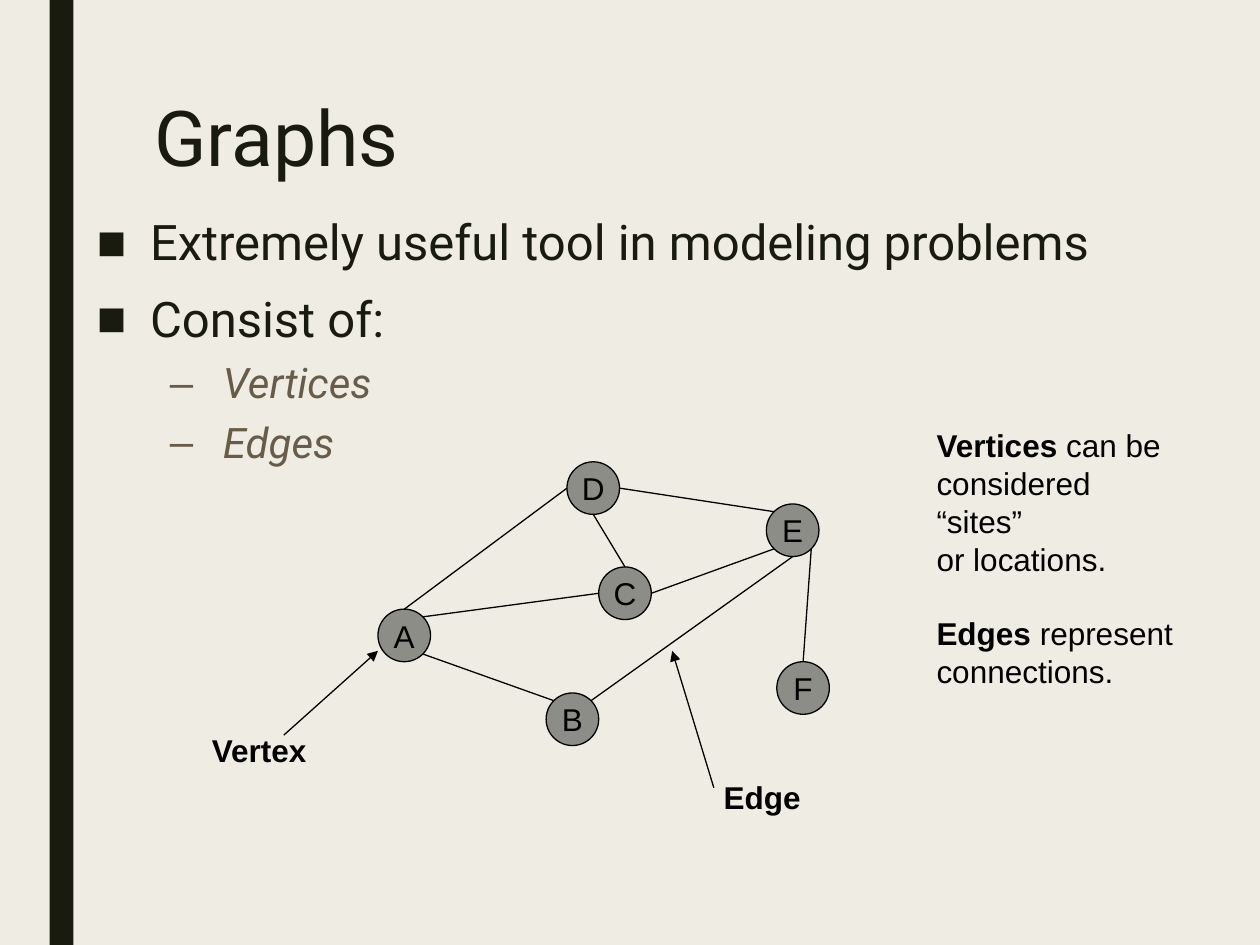
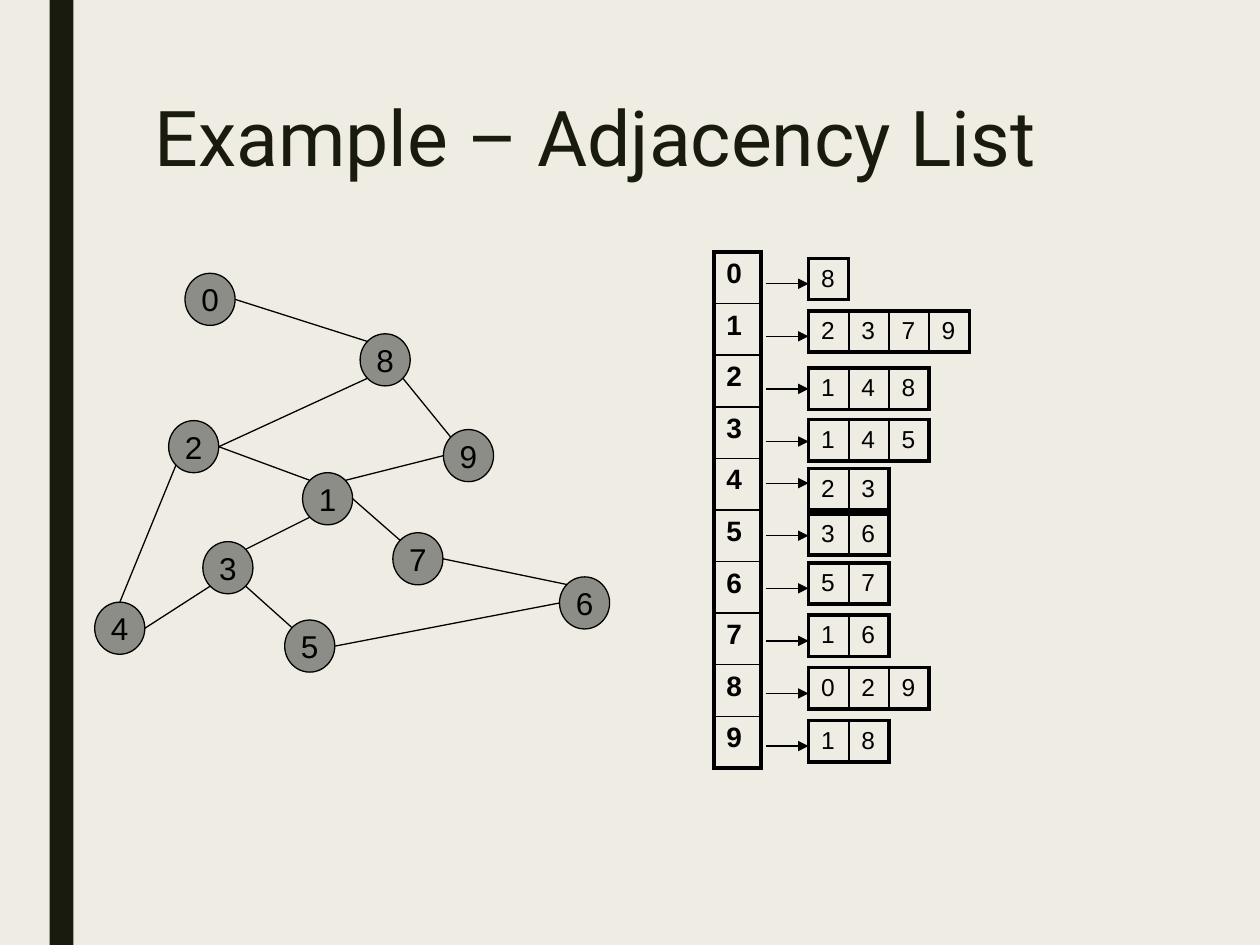
import dataclasses
import math

import pptx
import pptx.dml.color
import pptx.enum.shapes
import pptx.enum.text
import pptx.oxml
import pptx.oxml.ns
import pptx.util
from lxml import etree
from pptx.util import Cm


@dataclasses.dataclass(frozen=True)
class Theme:
    paper: str = "EFEDE3"
    dark: str = "191B0E"
    brown: str = "675C49"
    gray: str = "8C8D86"
    ink: str = "000000"
    head: str = "Roboto"
    plain: str = "Arial"
    title: int = 44
    list: int = 28
    sub: int = 24
    label: int = 18
    index: int = 16
    cell: int = 14
    thin: float = 0.75
    inner: float = 1
    outer: float = 2.25


THEME = Theme()
SITES = {name: math.radians(45 * step)
         for step, name in enumerate(("E", "SE", "S", "SW", "W", "NW", "N", "NE"))}

VERTS = {"D": (11.43, 9.31), "E": (15.45, 10.16), "A": (7.62, 12.28),
         "C": (12.07, 11.43), "F": (15.66, 13.34), "B": (11.01, 13.97)}
EDGES = ("A SE B NW", "A NE C W", "D W A N", "D S C N",
         "D E E NW", "C E E SW", "F N E SE", "E S B NE")

NODES = {"2": (3.4, 8.48), "4": (1.91, 12.14), "3": (4.09, 10.92),
         "5": (5.74, 12.5), "1": (6.1, 9.53), "7": (7.92, 10.74),
         "6": (11.28, 11.63), "9": (8.94, 8.66), "8": (7.26, 6.73),
         "0": (3.73, 5.51)}
LINKS = ("0 E 8 NW", "8 SE 9 NW", "9 W 1 NE", "8 SW 2 E",
         "2 E 1 NW", "2 SW 4 N", "4 E 3 SW", "3 NE 1 SW",
         "3 SE 5 NW", "5 E 6 W", "1 E 7 NW", "7 E 6 NW")
LISTS = ((5.21, "8"), (6.27, "2379"), (7.42, "148"), (8.46, "145"), (9.45, "23"),
         (10.36, "36"), (11.35, "57"), (12.4, "16"), (13.46, "029"), (14.53, "18"))


def rgb(code):
    return pptx.dml.color.RGBColor.from_string(code)


def tag(parent, name, **attrs):
    return etree.SubElement(parent, pptx.oxml.ns.qn(name), attrs)


def style(para, size, color=THEME.ink, face=THEME.plain, bold=False, slant=False):
    for run in para.runs:
        font = run.font
        font.name, font.size = face, pptx.util.Pt(size)
        font.bold, font.italic = bold, slant
        font.color.rgb = rgb(color)


def place(holder, left, top, width, height):
    holder.left, holder.top = Cm(left), Cm(top)
    holder.width, holder.height = Cm(width), Cm(height)
    frame = holder.text_frame
    frame.vertical_anchor = pptx.enum.text.MSO_ANCHOR.TOP
    frame.auto_size = pptx.enum.text.MSO_AUTO_SIZE.NONE
    return frame


def add_page(deck, layout, title):
    slide = deck.slides.add_slide(deck.slide_layouts[layout])
    frame = place(slide.shapes.title, 2.86, 1.91, 20, 4.13)
    frame.text = title
    para = frame.paragraphs[0]
    para.alignment = pptx.enum.text.PP_ALIGN.LEFT
    para.line_spacing = 0.89
    style(para, THEME.title, THEME.dark, THEME.head)
    return slide


def set_master(deck, slide):
    master = deck.slide_master
    fill = master.background.fill
    fill.solid()
    fill.fore_color.rgb = rgb(THEME.paper)
    band = slide.shapes.add_shape(
        pptx.enum.shapes.MSO_SHAPE.RECTANGLE, Cm(1), 0, Cm(0.48), deck.slide_height)
    band.shadow.inherit = False
    band.fill.solid()
    band.fill.fore_color.rgb = rgb(THEME.dark)
    band.line.fill.background()
    band.element.nvSpPr.cNvPr.set("id", "99")
    master.shapes.element.insert(2, band.element)


def add_list(slide, items):
    frame = place(slide.placeholders[1], 1.7, 4.24, 23.06, 13)
    frame.text = "\n".join(text for level, text in items)
    for para, (level, text) in zip(frame.paragraphs, items):
        para.level = level
        para.line_spacing = 0.94
        para.space_before = pptx.util.Pt(5 if level else 10)
        para.space_after = pptx.util.Pt(2)
        if level:
            style(para, THEME.sub, THEME.brown, THEME.head, slant=True)
        else:
            style(para, THEME.list, THEME.dark, THEME.head)
        props = para._p.get_or_add_pPr()
        props.set("marL", str(Cm(2.54 if level else 1.07)))
        props.set("indent", str(-Cm(1.07)))
        tag(props, "a:buFont", typeface=THEME.plain)
        tag(props, "a:buChar", char="–" if level else "■")


def add_node(shapes, name, spot, size):
    node = shapes.add_shape(pptx.enum.shapes.MSO_SHAPE.OVAL,
                            *map(Cm, spot), *map(Cm, size))
    node.shadow.inherit = False
    node.fill.solid()
    node.fill.fore_color.rgb = rgb(THEME.gray)
    node.line.color.rgb = rgb(THEME.ink)
    node.line.width = pptx.util.Pt(THEME.thin)
    frame = node.text_frame
    frame.text = name
    frame.word_wrap = False
    frame.vertical_anchor = pptx.enum.text.MSO_ANCHOR.MIDDLE
    frame.paragraphs[0].alignment = pptx.enum.text.PP_ALIGN.CENTER
    style(frame.paragraphs[0], THEME.label)
    return node


def add_line(shapes, start, end, arrow=False):
    line = shapes.add_connector(
        pptx.enum.shapes.MSO_CONNECTOR.STRAIGHT, *start, *end)
    line.line.color.rgb = rgb(THEME.ink)
    line.line.width = pptx.util.Pt(THEME.thin)
    if arrow:
        tag(line.line._get_or_add_ln(), "a:tailEnd", type="triangle")
    tag(line.element.spPr, "a:effectLst")


def add_arrow(slide, start, end):
    add_line(slide.shapes, map(Cm, start), map(Cm, end), arrow=True)


def find_site(node, side):
    angle = SITES[side]
    return (int(node.left + node.width * (1 + math.cos(angle)) / 2),
            int(node.top + node.height * (1 + math.sin(angle)) / 2))


def add_graph(shapes, spots, edges, size):
    nodes = {name: add_node(shapes, name, spot, size) for name, spot in spots.items()}
    for edge in edges:
        first, leave, last, reach = edge.split()
        add_line(shapes, find_site(nodes[first], leave), find_site(nodes[last], reach))


def add_note(slide, left, top, width, height, paras):
    box = slide.shapes.add_textbox(Cm(left), Cm(top), Cm(width), Cm(height))
    frame = box.text_frame
    frame.word_wrap = False
    frame.auto_size = pptx.enum.text.MSO_AUTO_SIZE.SHAPE_TO_FIT_TEXT
    for count, (term, lines, gap) in enumerate(paras):
        para = frame.add_paragraph() if count else frame.paragraphs[0]
        para.text = term
        for row, line in enumerate(lines):
            if row:
                para.add_line_break()
            para.add_run().text = line
        style(para, THEME.label)
        if term:
            para.runs[0].font.bold = True
        if gap:
            para.space_before = pptx.util.Pt(gap)


def set_edges(cell, outer):
    props = cell._tc.get_or_add_tcPr()
    for spot, side in enumerate("LRTB"):
        width = THEME.outer if side in outer else THEME.inner
        line = pptx.oxml.parse_xml(
            f'<a:ln{side} {pptx.oxml.ns.nsdecls("a")} w="{pptx.util.Pt(width)}">'
            f'<a:solidFill><a:srgbClr val="{THEME.ink}"/></a:solidFill></a:ln{side}>')
        props.insert(spot, line)


def add_grid(slide, left, top, wide, high, rows, size, bold=False):
    count, span = len(rows), len(rows[0])
    table = slide.shapes.add_table(
        count, span, Cm(left), Cm(top), Cm(wide * span), Cm(high * count)).table
    table.first_row = table.horz_banding = False
    for row, texts in enumerate(rows):
        for col, text in enumerate(texts):
            cell = table.cell(row, col)
            cell.text = text
            style(cell.text_frame.paragraphs[0], size, bold=bold)
            cell.fill.background()
            ends = {"L": col == 0, "R": col == span - 1,
                    "T": row == 0, "B": row == count - 1}
            set_edges(cell, [side for side, edge in ends.items() if edge])


def draw_graph(slide):
    add_list(slide, ((0, "Extremely useful tool in modeling problems"),
                     (0, "Consist of:"), (1, "Vertices"), (1, "Edges")))
    add_graph(slide.shapes, VERTS, EDGES, (1.06, 1.06))
    add_arrow(slide, (5.72, 14.82), (7.62, 13.12))
    add_note(slide, 4.02, 14.61, 2.46, 1.02, [("Vertex", (), 0)])
    add_arrow(slide, (14.39, 15.88), (13.55, 13.12))
    add_note(slide, 14.34, 15.56, 2.06, 1.02, [("Edge", (), 0)])
    add_note(slide, 18.63, 8.47, 5.5, 4.83, [
        ("Vertices", (" can be", "considered “sites”", "or locations."), 0),
        ("Edges", (" represent",), 21),
        ("", ("connections.",), 0)])


def draw_lists(slide):
    add_graph(slide.shapes.add_group_shape().shapes, NODES, LINKS, (1.01, 1.05))
    digits = [str(row) for row in range(len(LISTS))]
    add_grid(slide, 14.39, 5.08, 0.95, 1.04, digits, THEME.index, bold=True)
    for row, (top, peers) in enumerate(LISTS):
        level = 5.72 + 1.06 * row - (0.22 if row > 3 else 0)
        add_arrow(slide, (15.45, level), (16.3, level))
        add_grid(slide, 16.3, top, 0.81, 0.83, [peers], THEME.cell)


def main():
    deck = pptx.Presentation()
    deck.slide_width, deck.slide_height = Cm(25.4), Cm(19.05)
    graph = add_page(deck, 1, "Graphs")
    set_master(deck, graph)
    draw_graph(graph)
    draw_lists(add_page(deck, 5, "Example – Adjacency List"))
    deck.save("out.pptx")


if __name__ == "__main__":
    main()
